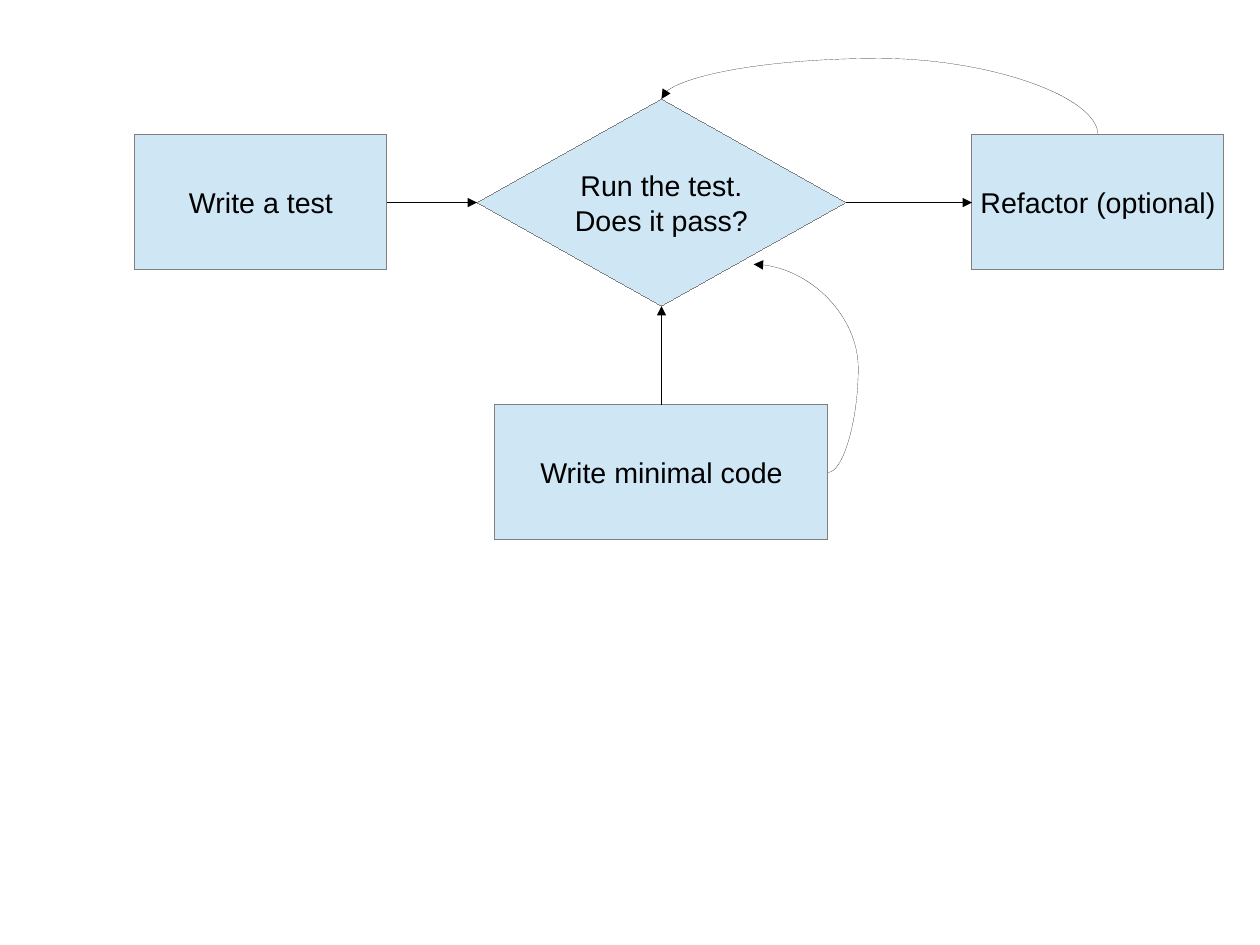
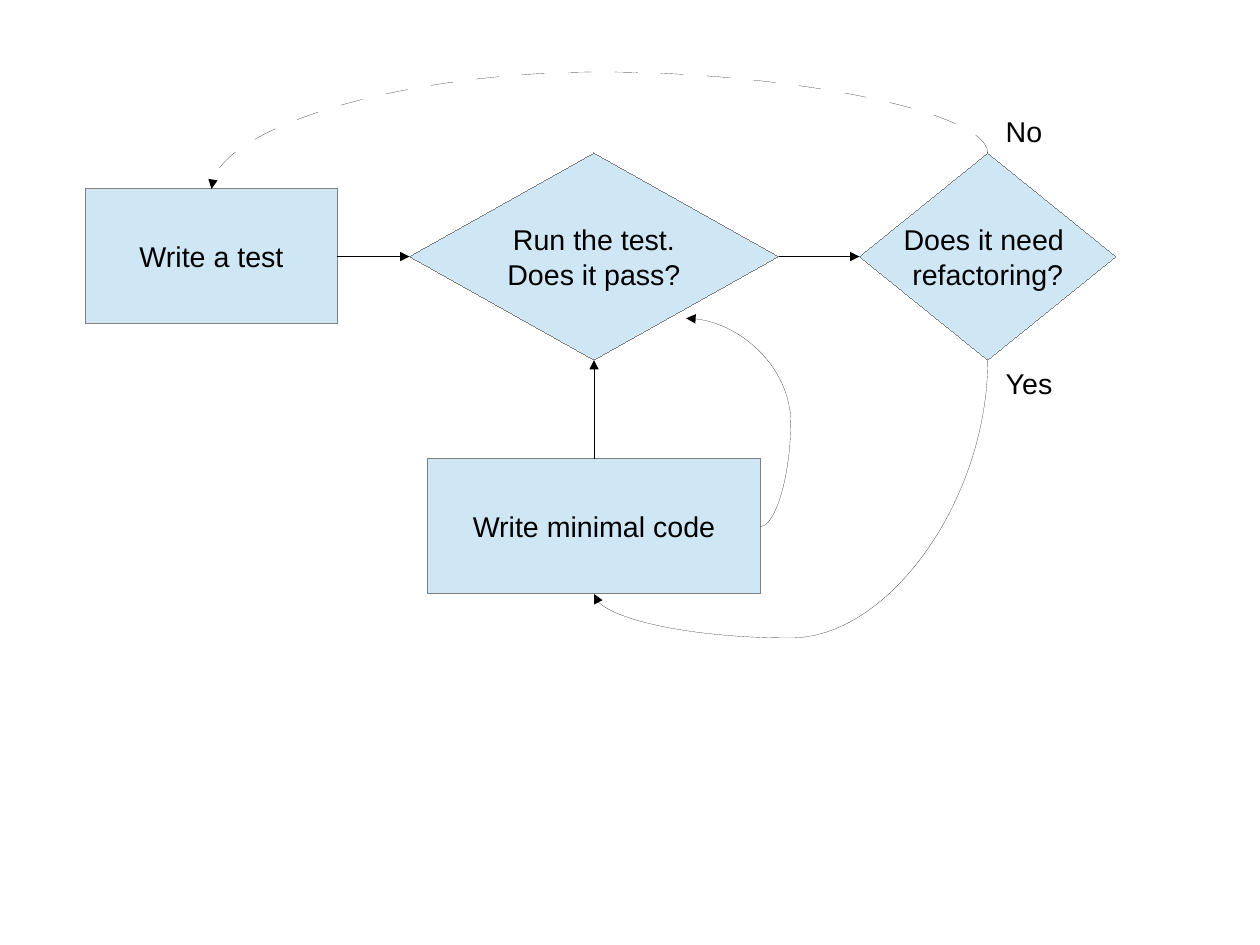
from dataclasses import dataclass

from lxml.etree import SubElement
from pptx import Presentation
from pptx.dml.color import RGBColor
from pptx.enum.shapes import MSO_CONNECTOR as Connector, MSO_SHAPE as Shape
from pptx.enum.text import MSO_ANCHOR as Anchor, MSO_AUTO_SIZE as AutoSize, PP_ALIGN as Align
from pptx.oxml.ns import qn
from pptx.util import Pt

EMU_PER_PX = 9000
TOP, LEFT, BOTTOM, RIGHT = range(4)
STEP_SIZE = (224, 120)


@dataclass(frozen=True)
class Theme:
    font: str = "Arial"
    size: int = 18
    text: str = "000000"
    fill: str = "CFE7F5"
    outline: str = "808080"
    arrow: str = "000000"
    hairline: int = 0
    dash: int = 1900000


THEME = Theme()


def px(value):
    return round(value * EMU_PER_PX)


def write_text(shape, text, align=Align.LEFT, anchor=Anchor.TOP, size=THEME.size, color=THEME.text):
    frame = shape.text_frame
    frame.word_wrap = False
    frame.vertical_anchor = anchor
    frame.margin_left = frame.margin_right = px(10)
    frame.margin_top = frame.margin_bottom = px(5)
    for index, line in enumerate(text.split("\n")):
        para = frame.paragraphs[0] if index == 0 else frame.add_paragraph()
        para.alignment = align
        span = para.add_run()
        span.text = line
        span.font.name = THEME.font
        span.font.size = Pt(size)
        span.font.color.rgb = RGBColor.from_string(color)


def draw_hairline(shape, color):
    shape.line.color.rgb = RGBColor.from_string(color)
    shape.line.width = Pt(THEME.hairline)
    shape.element.remove(shape.element.find(qn("p:style")))


def add_node(page, kind, center, size, text):
    (x, y), (width, height) = center, size
    node = page.shapes.add_shape(kind, px(x - width / 2), px(y - height / 2), px(width), px(height))
    node.shadow.inherit = False
    node.fill.solid()
    node.fill.fore_color.rgb = RGBColor.from_string(THEME.fill)
    draw_hairline(node, THEME.outline)
    write_text(node, text, align=Align.CENTER, anchor=Anchor.MIDDLE)
    return node


def add_label(page, left, top, width, text):
    box = page.shapes.add_textbox(px(left), px(top), px(width), px(39))
    write_text(box, text)
    box.text_frame.auto_size = AutoSize.SHAPE_TO_FIT_TEXT


def side(node, site):
    across, down = {TOP: (1, 0), LEFT: (0, 1), BOTTOM: (1, 2), RIGHT: (2, 1)}[site]
    return node.left + node.width * across // 2, node.top + node.height * down // 2


def style_arrow(arrow, dashed=False):
    draw_hairline(arrow, THEME.arrow)
    properties = arrow.element.spPr
    line = properties.find(qn("a:ln"))
    if dashed:
        pattern = SubElement(line, qn("a:custDash"))
        SubElement(pattern, qn("a:ds"), d=str(THEME.dash), sp=str(THEME.dash))
    SubElement(line, qn("a:tailEnd"), type="triangle")
    SubElement(properties, qn("a:effectLst"))


def add_arrow(page, source, source_site, target, target_site):
    arrow = page.shapes.add_connector(
        Connector.STRAIGHT, *side(source, source_site), *side(target, target_site))
    arrow.begin_connect(source, source_site)
    arrow.end_connect(target, target_site)
    style_arrow(arrow)


def add_curve(page, start, end, reach, vertical=True, dashed=False):
    arrow = page.shapes.add_connector(Connector.CURVE, *start, *end)
    axis = 1 if vertical else 0
    run = end[axis] - start[axis]
    if vertical:
        across = end[0] - start[0]
        arrow.width, arrow.height = abs(run), abs(across)
        arrow.left = (start[0] + end[0] - abs(run)) // 2
        arrow.top = (start[1] + end[1] - abs(across)) // 2
        arrow.rotation = 90 if run > 0 else 270
        frame = arrow.element.spPr.find(qn("a:xfrm"))
        frame.set("flipH", "0")
        frame.set("flipV", "1" if (across > 0) == (run > 0) else "0")
    guides = arrow.element.spPr.find(qn("a:prstGeom")).get_or_add_avLst()
    bend = round((reach - start[axis]) / run * 100000)
    SubElement(guides, qn("a:gd"), name="adj1", fmla=f"val {bend}")
    style_arrow(arrow, dashed)


def add_cycle(page, test_x, run_x, y):
    test = add_node(page, Shape.RECTANGLE, (test_x, y), STEP_SIZE, "Write a test")
    run = add_node(page, Shape.DIAMOND, (run_x, y), (328, 184), "Run the test.\nDoes it pass?")
    code = add_node(page, Shape.RECTANGLE, (run_x, y + 240), (296, 120), "Write minimal code")
    add_arrow(page, test, RIGHT, run, LEFT)
    add_arrow(page, code, TOP, run, BOTTOM)
    start = side(code, RIGHT)
    add_curve(page, start, (px(run_x + 82), px(y + 55)), start[0] + px(27), vertical=False)
    return test, run, code


def add_optional_refactoring(page):
    _, run, _ = add_cycle(page, 232, 588, 180)
    refactor = add_node(page, Shape.RECTANGLE, (976, 180), STEP_SIZE, "Refactor (optional)")
    add_arrow(page, run, RIGHT, refactor, LEFT)
    add_curve(page, side(refactor, TOP), side(run, TOP), px(52))


def add_refactoring_decision(page):
    test, run, code = add_cycle(page, 188, 528, 228)
    decision = add_node(page, Shape.DIAMOND, (878, 228), (228, 184), "Does it need \nrefactoring?")
    add_arrow(page, run, RIGHT, decision, LEFT)
    add_curve(page, side(decision, TOP), side(test, TOP), px(64), dashed=True)
    add_curve(page, side(decision, BOTTOM), side(code, BOTTOM), px(567))
    add_label(page, 884, 96, 53, "No")
    add_label(page, 884, 320, 62, "Yes")


def main():
    deck = Presentation()
    deck.slide_width, deck.slide_height = px(1120), px(840)
    for build in (add_optional_refactoring, add_refactoring_decision):
        build(deck.slides.add_slide(deck.slide_layouts[6]))
    deck.save("out.pptx")


if __name__ == "__main__":
    main()
